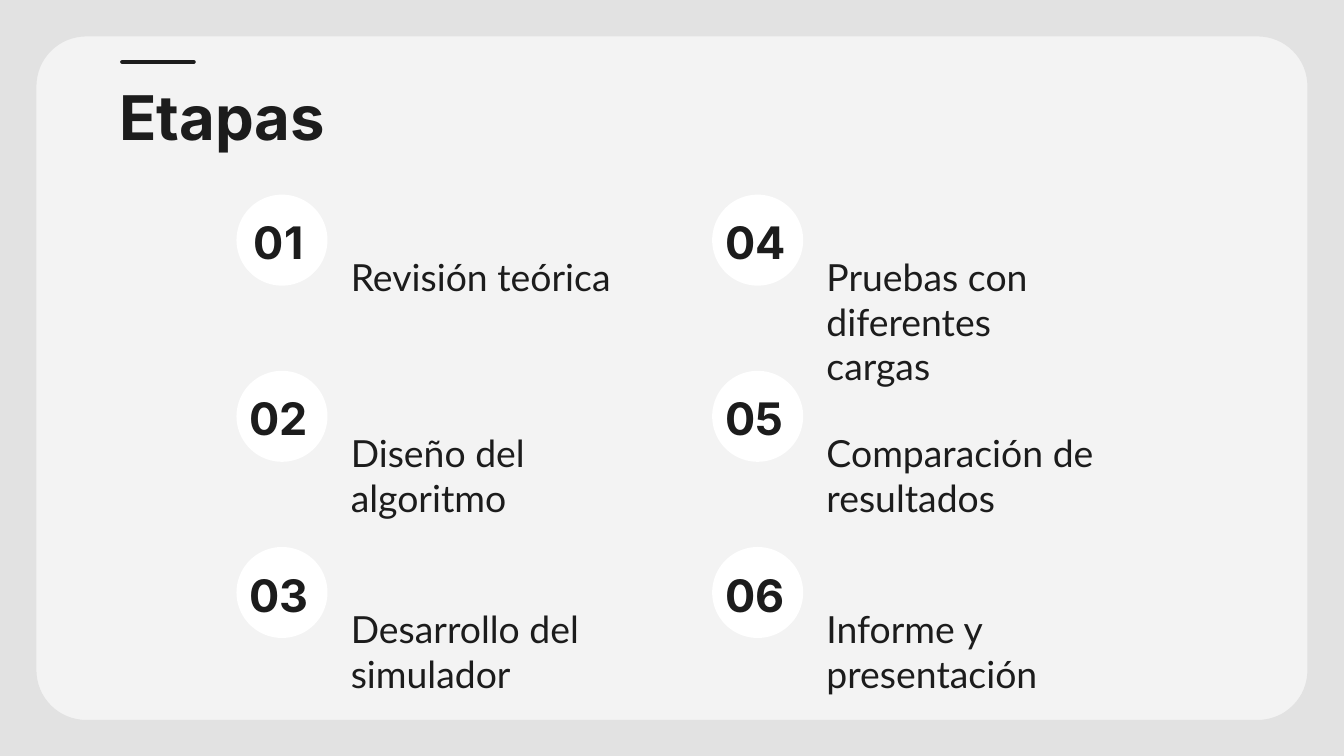
import math
from dataclasses import dataclass

import pptx
import pptx.dml.color
import pptx.enum.shapes
import pptx.enum.text
import pptx.util
from pptx.util import Cm


@dataclass(frozen=True)
class Theme:
    ink: str = "1C1C1C"
    panel: str = "F3F3F3"
    border: str = "E2E2E2"
    badge: str = "FFFFFF"
    heading_font: str = "Inter"
    body_font: str = "Lato"
    title_size: int = 33
    number_size: int = 24
    stage_size: int = 20


THEME = Theme()
SLIDE_W, SLIDE_H = 25.4, 14.29
INSET = 0.25

# Stage grid, in centimetres
STAGES = [
    "Revisión teórica",
    "Diseño del algoritmo",
    "Desarrollo del simulador",
    "Pruebas con diferentes cargas",
    "Comparación de resultados",
    "Informe y presentación",
]
ROWS = 3
GRID_LEFT, GRID_TOP = 4.47, 3.68
COLUMN_STEP, ROW_STEP = 8.99, 3.33
BADGE_SIZE = 1.72


def rgb(colour):
    return pptx.dml.color.RGBColor.from_string(colour)


def fill_plain(shape, colour):
    shape.shadow.inherit = False
    shape.fill.solid()
    shape.fill.fore_color.rgb = rgb(colour)
    shape.line.fill.background()


def write_text(box, text, font, size, bold=False, left=INSET, bottom=INSET,
               anchor=pptx.enum.text.MSO_ANCHOR.TOP):
    frame = box.text_frame
    frame.word_wrap = True
    frame.auto_size = pptx.enum.text.MSO_AUTO_SIZE.NONE
    frame.vertical_anchor = anchor
    frame.margin_left, frame.margin_right = Cm(left), Cm(INSET)
    frame.margin_top, frame.margin_bottom = Cm(INSET), Cm(bottom)
    paragraph = frame.paragraphs[0]
    paragraph.alignment = pptx.enum.text.PP_ALIGN.LEFT
    run = paragraph.add_run()
    run.text = text
    run.font.name = font
    run.font.size = pptx.util.Pt(size)
    run.font.bold = bold
    run.font.color.rgb = rgb(THEME.ink)


def rounded_outline(left, top, right, bottom, radius, steps=16):
    """Points of a rounded rectangle, clockwise from the lower right corner."""
    corners = [(right - radius, bottom - radius), (left + radius, bottom - radius),
               (left + radius, top + radius), (right - radius, top + radius)]
    points = []
    for quarter, (x, y) in enumerate(corners):
        for step in range(steps + 1):
            angle = math.pi / 2 * (quarter + step / steps)
            points.append((Cm(x + radius * math.cos(angle)),
                           Cm(y + radius * math.sin(angle))))
    return points


def add_border(slide):
    # The outer edge runs anticlockwise and the opening clockwise
    outer = [(0, Cm(SLIDE_H)), (Cm(SLIDE_W), Cm(SLIDE_H)), (Cm(SLIDE_W), 0)]
    opening = rounded_outline(0.69, 0.69, 24.71, 13.61, 0.94)
    builder = slide.shapes.build_freeform(0, 0)
    builder.add_line_segments(outer, close=True)
    builder.move_to(*opening[0])
    builder.add_line_segments(opening[1:], close=True)
    fill_plain(builder.convert_to_shape(), THEME.border)


def add_accent_line(slide):
    accent = slide.shapes.add_connector(
        pptx.enum.shapes.MSO_CONNECTOR.STRAIGHT, Cm(2.31), Cm(1.17), Cm(3.66), Cm(1.17))
    accent.line.color.rgb = rgb(THEME.ink)
    accent.line.width = pptx.util.Pt(2.25)
    accent.line._get_or_add_ln().set("cap", "rnd")
    effects = pptx.oxml.ns.qn("a:effectLst")
    accent._element.spPr.append(accent._element.makeelement(effects))


def add_title(slide, text):
    title = slide.shapes.title
    title.left, title.top = Cm(2.01), Cm(1.24)
    title.width, title.height = Cm(21.41), Cm(1.6)
    write_text(title, text, THEME.heading_font, THEME.title_size, bold=True)


def add_badge(slide, left, top):
    badge = slide.shapes.add_shape(
        pptx.enum.shapes.MSO_SHAPE.OVAL, Cm(left), Cm(top), Cm(BADGE_SIZE), Cm(BADGE_SIZE))
    fill_plain(badge, THEME.badge)


def add_number(slide, left, top, number):
    label = slide.shapes.add_textbox(Cm(left), Cm(top + 0.28), Cm(BADGE_SIZE), Cm(1.12))
    # The narrow first number is nudged to the right
    write_text(label, f"{number:02d}", THEME.heading_font, THEME.number_size, bold=True,
               left=0.33 if number == 1 else INSET, bottom=0,
               anchor=pptx.enum.text.MSO_ANCHOR.BOTTOM)


def add_stage_name(slide, left, top, name):
    label = slide.shapes.add_textbox(Cm(left + 1.91), Cm(top + 0.87), Cm(5.56), Cm(1.6))
    write_text(label, name, THEME.body_font, THEME.stage_size)


def main():
    deck = pptx.Presentation()
    deck.slide_width, deck.slide_height = Cm(SLIDE_W), Cm(SLIDE_H)
    slide = deck.slides.add_slide(deck.slide_layouts.get_by_name("Title Only"))

    # Backdrop
    slide.background.fill.solid()
    slide.background.fill.fore_color.rgb = rgb(THEME.panel)
    add_border(slide)

    # Heading
    add_accent_line(slide)
    add_title(slide, "Etapas")

    # Numbered stages, filled column by column
    for index, name in enumerate(STAGES):
        column, row = divmod(index, ROWS)
        left = GRID_LEFT + column * COLUMN_STEP
        top = GRID_TOP + row * ROW_STEP
        add_badge(slide, left, top)
        add_number(slide, left, top, index + 1)
        add_stage_name(slide, left, top, name)

    deck.save("out.pptx")


if __name__ == "__main__":
    main()
